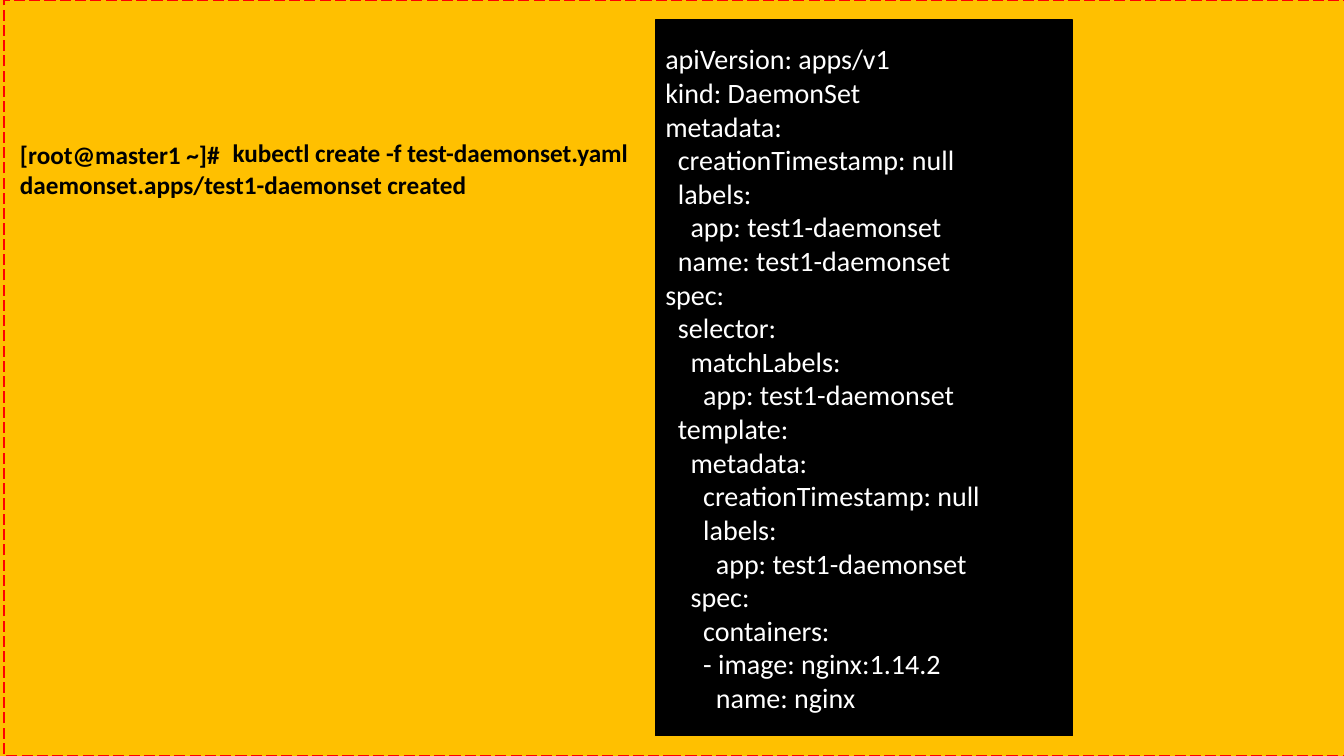
import pptx
import pptx.util
import pptx.dml.color
import pptx.enum.dml
import pptx.enum.shapes
import pptx.enum.text

Inches = pptx.util.Inches
Pt = pptx.util.Pt
Align = pptx.enum.text.PP_ALIGN

MANIFEST = """apiVersion: apps/v1
kind: DaemonSet
metadata:
  creationTimestamp: null
  labels:
    app: test1-daemonset
  name: test1-daemonset
spec:
  selector:
    matchLabels:
      app: test1-daemonset
  template:
    metadata:
      creationTimestamp: null
      labels:
        app: test1-daemonset
    spec:
      containers:
      - image: nginx:1.14.2
        name: nginx""".split("\n")
TERMINAL = ["[root@master1 ~]#", "daemonset.apps/test1-daemonset created"]
COMMAND = ["kubectl create -f test-daemonset.yaml"]

THEME = {
    "amber": pptx.dml.color.RGBColor.from_string("FFC000"),
    "red": pptx.dml.color.RGBColor.from_string("FF0000"),
    "black": pptx.dml.color.RGBColor.from_string("000000"),
    "white": pptx.dml.color.RGBColor.from_string("FFFFFF"),
    "font": "Calibri",
    "manifest": Pt(20),
    "terminal": Pt(18),
    "border": Pt(1),
}
MANIFEST_FONT = {"name": THEME["font"], "size": THEME["manifest"], "bold": False}
TERMINAL_FONT = {"name": THEME["font"], "size": THEME["terminal"], "bold": True}

PANELS = [
    {"at": (0.04, 0, 13.3, 7.5), "fill": "amber", "line": "red",
     "dash": pptx.enum.dml.MSO_LINE.LONG_DASH},
    {"at": (6.5, 0.2, 4.14, 7.1), "fill": "black", "line": "black",
     "lines": MANIFEST, "font": MANIFEST_FONT, "color": "white"},
    {"at": (0.1, 1.06, 6.24, 1.24), "fill": "amber",
     "lines": TERMINAL, "font": TERMINAL_FONT, "color": "black"},
    {"at": (2.2, 1.36, 4.14, 0.31), "fill": "amber", "wrap": False,
     "lines": COMMAND, "font": TERMINAL_FONT, "color": "black", "align": Align.CENTER},
]


def write_lines(frame, panel):
    frame.word_wrap = panel.get("wrap", True)
    frame.vertical_anchor = pptx.enum.text.MSO_ANCHOR.MIDDLE
    for index, line in enumerate(panel["lines"]):
        paragraph = frame.add_paragraph() if index else frame.paragraphs[0]
        paragraph.alignment = panel.get("align", Align.LEFT)
        run = paragraph.add_run()
        run.text = line
        for key, value in panel["font"].items():
            setattr(run.font, key, value)
        run.font.color.rgb = THEME[panel["color"]]


def add_panel(slide, panel):
    block = slide.shapes.add_shape(
        pptx.enum.shapes.MSO_SHAPE.RECTANGLE, *map(Inches, panel["at"]))
    block.shadow.inherit = False
    block.fill.solid()
    block.fill.fore_color.rgb = THEME[panel["fill"]]
    if "line" in panel:
        block.line.color.rgb = THEME[panel["line"]]
        block.line.width = THEME["border"]
    else:
        block.line.fill.background()
    if "dash" in panel:
        block.line.dash_style = panel["dash"]
    if "lines" in panel:
        write_lines(block.text_frame, panel)


def main():
    deck = pptx.Presentation()
    deck.slide_width, deck.slide_height = Inches(13.33), Inches(7.5)
    slide = deck.slides.add_slide(deck.slide_layouts[6])
    slide.background.fill.solid()
    slide.background.fill.fore_color.rgb = THEME["amber"]
    for panel in PANELS:
        add_panel(slide, panel)
    deck.save("out.pptx")


if __name__ == "__main__":
    main()
